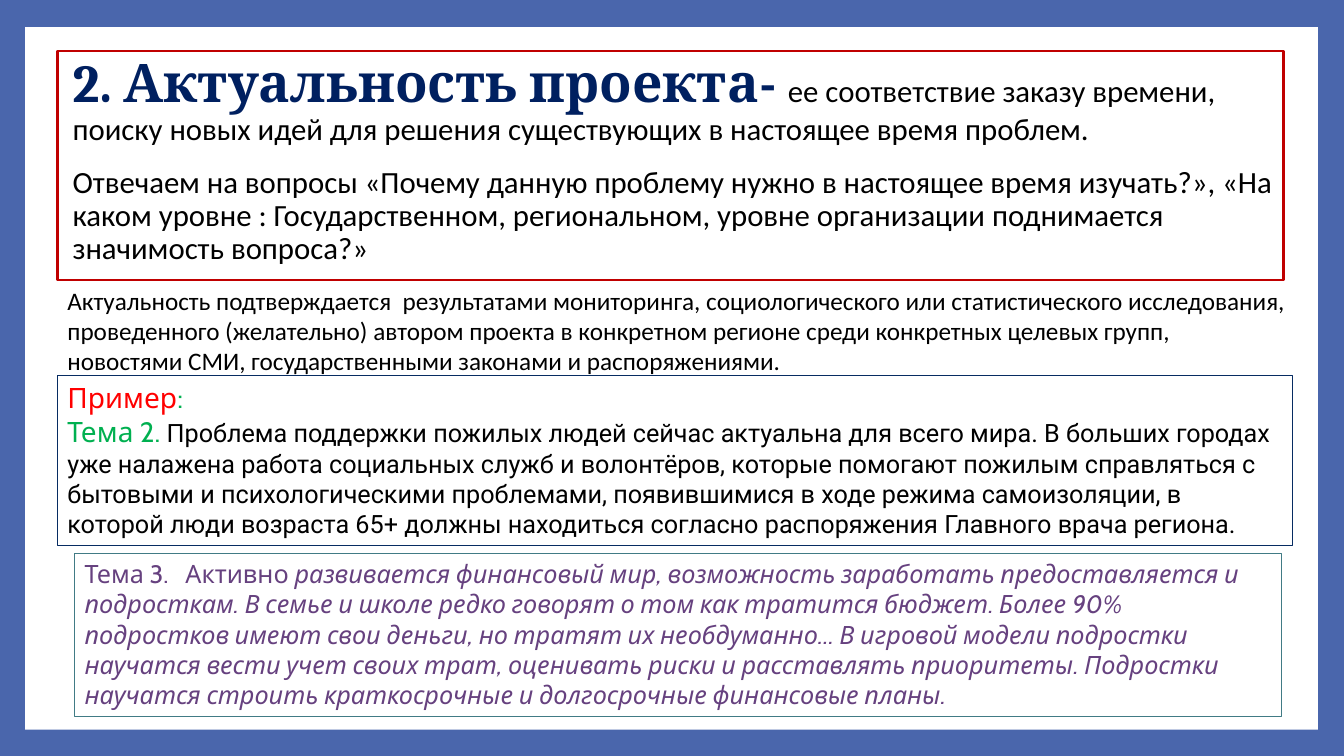
from dataclasses import dataclass

from pptx import Presentation
from pptx.dml.color import RGBColor
from pptx.enum.shapes import MSO_SHAPE
from pptx.enum.text import MSO_ANCHOR, MSO_AUTO_SIZE, PP_ALIGN
from pptx.util import Inches, Pt

COLORS = {
    "frame": "4A66AC", "white": "FFFFFF", "black": "000000", "navy": "002060",
    "crimson": "C00000", "red": "FF0000", "green": "00B050", "purple": "66417F",
    "teal": "417B85", "indigo": "072C62",
}


@dataclass(frozen=True)
class Span:
    """A piece of text with its own look."""
    text: str
    font: str
    size: int
    color: str
    bold: bool = False
    italic: bool = False


@dataclass(frozen=True)
class Box:
    """A block of paragraphs in an optional outline."""
    position: tuple[float, float, float, float]
    paragraphs: list[list[Span]]
    line: str | None = None
    line_width: float = 0.75
    line_spacing: float = 1.0
    space_before: int = 0
    margin_left: float = 0.1


TITLE = Box(
    (0.57, 0.51, 12.16, 2.27),
    [
        [
            Span("2. Актуальность проекта- ", "Cambria", 38, "navy", bold=True),
            Span("ее соответствие заказу времени, поиску новых идей для решения "
                 "существующих в настоящее время проблем.", "Calibri", 22, "black"),
        ],
        [
            Span("Отвечаем на вопросы «Почему данную проблему нужно в настоящее время "
                 "изучать?», «На каком уровне : Государственном, региональном, уровне "
                 "организации поднимается значимость вопроса?»", "Calibri", 22, "black"),
        ],
    ],
    line="crimson", line_width=1.5, line_spacing=0.9, space_before=14, margin_left=0.15,
)

BOXES = [
    Box(
        (0.74, 5.49, 11.97, 1.62),
        [[
            Span("Тема 3.   Активно ", "Cabin", 18, "purple"),
            Span("развивается финансовый мир, возможность заработать предоставляется и "
                 "подросткам. В семье и школе редко говорят о том как тратится бюджет. "
                 "Более 90% подростков имеют свои деньги, но тратят их необдуманно… "
                 "В игровой модели подростки научатся вести учет своих трат, оценивать "
                 "риски и расставлять приоритеты. Подростки научатся строить "
                 "краткосрочные и долгосрочные финансовые планы.",
                 "Cabin", 18, "purple", italic=True),
        ]],
        line="teal",
    ),
    Box(
        (0.57, 3.73, 12.25, 1.68),
        [
            [Span("Пример", "Cabin", 20, "red"), Span(":", "Cabin", 20, "green")],
            [
                Span("Тема 2. ", "Cabin", 20, "green"),
                Span("Проблема поддержки пожилых людей сейчас актуальна для всего мира. "
                     "В больших городах уже налажена работа социальных служб и волонтёров, "
                     "которые помогают пожилым справляться с бытовыми и психологическими "
                     "проблемами, появившимися в ходе режима самоизоляции, в которой люди "
                     "возраста 65+ должны находиться согласно распоряжения Главного врача "
                     "региона.", "Roboto", 18, "black"),
            ],
        ],
        line="indigo",
    ),
    Box(
        (0.57, 2.78, 12.32, 1.01),
        [[
            Span("Актуальность подтверждается  результатами мониторинга, социологического "
                 "или статистического исследования, проведенного (желательно) автором "
                 "проекта в конкретном регионе среди конкретных целевых групп, новостями "
                 "СМИ, государственными законами и распоряжениями.", "Calibri", 18, "black"),
        ]],
    ),
]


def rgb(name: str) -> RGBColor:
    """Return the named colour."""
    return RGBColor.from_string(COLORS[name])


def apply_format(target: object, values: dict[str, object]) -> None:
    """Set every format value on the target."""
    for name, value in values.items():
        setattr(target, name, value)


def fill_box(shape: object, box: Box) -> None:
    """Place a shape, outline it and write its paragraphs."""
    left, top, width, height = map(Inches, box.position)
    apply_format(shape, {"left": left, "top": top, "width": width, "height": height})
    if box.line:
        shape.line.color.rgb = rgb(box.line)
        shape.line.width = Pt(box.line_width)
    frame = shape.text_frame
    apply_format(frame, {
        "word_wrap": True,
        "auto_size": MSO_AUTO_SIZE.NONE,
        "vertical_anchor": MSO_ANCHOR.TOP,
        "margin_left": Inches(box.margin_left),
    })
    for index, spans in enumerate(box.paragraphs):
        paragraph = frame.add_paragraph() if index else frame.paragraphs[0]
        apply_format(paragraph, {
            "alignment": PP_ALIGN.LEFT,
            "line_spacing": box.line_spacing,
            "space_before": Pt(box.space_before),
        })
        for span in spans:
            run = paragraph.add_run()
            run.text = span.text
            apply_format(run.font, {
                "name": span.font, "size": Pt(span.size),
                "bold": span.bold, "italic": span.italic,
            })
            run.font.color.rgb = rgb(span.color)


def add_panel(slide: object) -> None:
    """Lay the white panel behind everything on the slide."""
    panel = slide.shapes.add_shape(
        MSO_SHAPE.RECTANGLE, *map(Inches, (0.25, 0.27, 12.82, 6.97)))
    panel.shadow.inherit = False
    panel.fill.solid()
    panel.fill.fore_color.rgb = rgb("white")
    panel.line.fill.background()
    slide.shapes.title._element.addprevious(panel._element)


def main() -> None:
    """Build and save the slide."""
    presentation = Presentation()
    apply_format(presentation, {"slide_width": Inches(13.33), "slide_height": Inches(7.5)})
    slide = presentation.slides.add_slide(presentation.slide_layouts.get_by_name("Title Only"))
    slide.background.fill.solid()
    slide.background.fill.fore_color.rgb = rgb("frame")
    add_panel(slide)
    fill_box(slide.shapes.title, TITLE)
    for box in BOXES:
        fill_box(slide.shapes.add_textbox(*map(Inches, box.position)), box)
    presentation.save("out.pptx")


if __name__ == "__main__":
    main()
